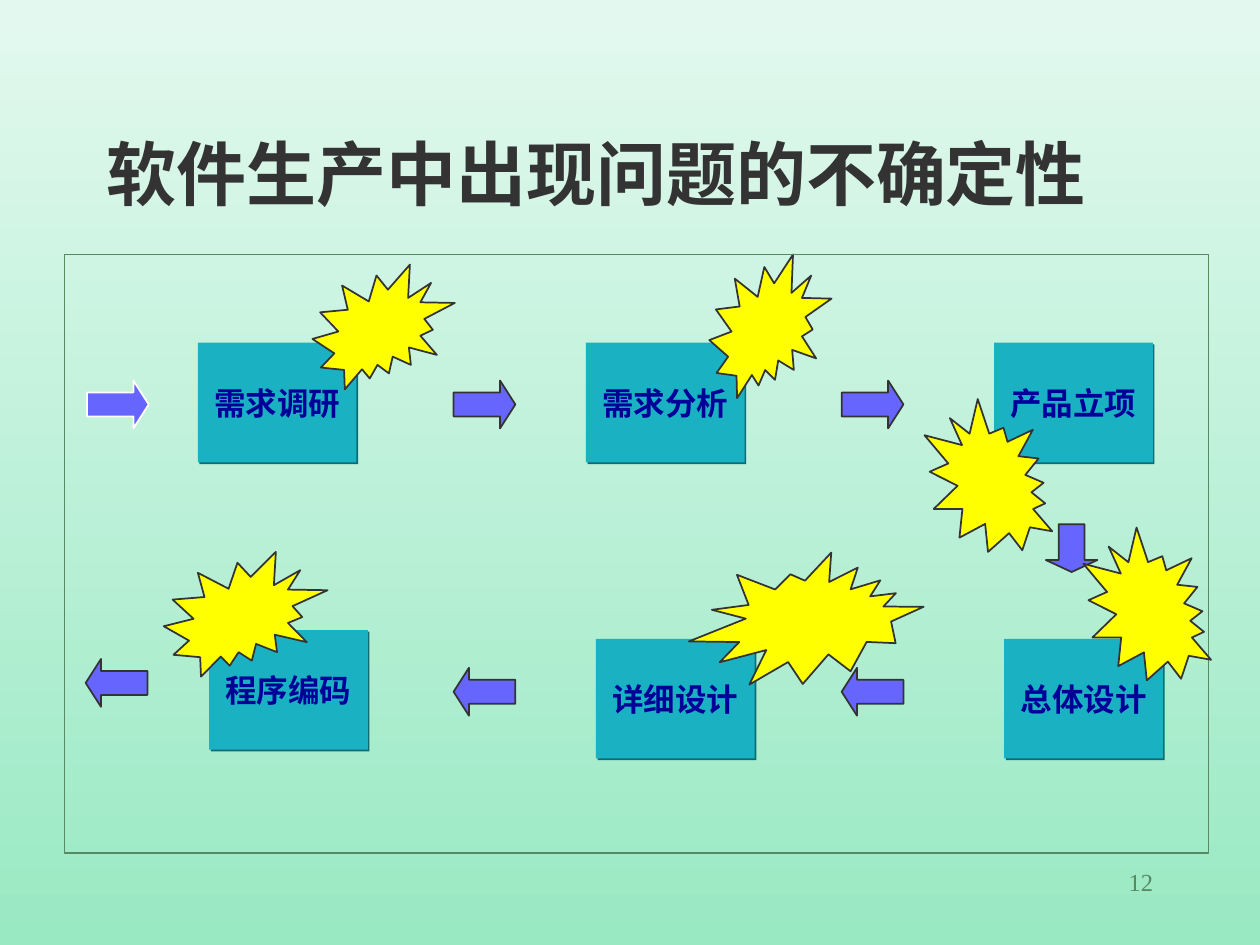
from lxml.etree import SubElement
from pptx import Presentation
from pptx.dml.color import RGBColor
from pptx.enum.shapes import MSO_SHAPE
from pptx.enum.text import MSO_ANCHOR, PP_ALIGN
from pptx.oxml.ns import qn
from pptx.util import Inches, Pt

COLORS = {
    "top": "E3F9EF", "base": "99E9C3", "ink": "333333", "box": "1AB2C2",
    "shade": "0F6A73", "label": "000099", "arrow": "6666FF",
    "white": "FFFFFF", "burst": "FFFF00", "frame": "578963",
}
STEPS = [
    ("需求调研", 1.57, 2.72), ("需求分析", 4.65, 2.72), ("产品立项", 7.89, 2.72),
    ("总体设计", 7.97, 5.07), ("详细设计", 4.73, 5.07), ("程序编码", 1.66, 5),
]
# left, top, turn, line color
ARROWS = [
    (3.6, 3.02, 0, "ink"), (6.68, 3.02, 0, "ink"), (0.69, 3.02, 0, "white"),
    (6.68, 5.3, 180, "ink"), (3.6, 5.3, 180, "ink"), (0.68, 5.23, 180, "ink"),
]
# left, top, width, height, turn
BURSTS = [
    (2.48, 2.1, 1.13, 0.99, 0), (5.63, 2.02, 0.97, 1.14, 0),
    (7.27, 3.21, 1.17, 1.15, 282), (5.85, 4, 1.06, 1.82, 246.7),
    (1.3, 4.38, 1.3, 0.99, 0),
]
LAST_BURST = (8.53, 4.23, 1.17, 1.15, 282)


def color(name):
    return RGBColor.from_string(COLORS[name])


def paint_back(slide):
    fill = slide.background.fill
    fill.gradient()
    fill.gradient_angle = 270
    for stop, name in zip(fill.gradient_stops, ("top", "base")):
        stop.color.rgb = color(name)


def add_shape(slide, kind, place, fill=None, line=None, width=1, turn=0):
    shape = slide.shapes.add_shape(kind, *map(Inches, place))
    shape.shadow.inherit = False
    shape.rotation = turn
    if fill:
        shape.fill.solid()
        shape.fill.fore_color.rgb = color(fill)
    else:
        shape.fill.background()
    if line:
        shape.line.color.rgb = color(line)
        shape.line.width = Pt(width)
    else:
        shape.line.fill.background()
    return shape


def set_text(shape, text, size, font, ink, align, bold=False):
    frame = shape.text_frame
    frame.text = text
    para = frame.paragraphs[0]
    para.alignment = align
    face = para.runs[0].font
    face.size, face.name, face.bold = Pt(size), font, bold
    face.color.rgb = color(ink)
    return frame


def add_text(slide, place, anchor, *style):
    box = slide.shapes.add_textbox(*map(Inches, place))
    frame = set_text(box, *style)
    frame.word_wrap = True
    frame.vertical_anchor = anchor


def add_shade(shape):
    """Give the shape a hard shadow to the lower right."""
    effects = shape._element.spPr.find(qn("a:effectLst"))
    shade = SubElement(effects, qn("a:outerShdw"), blurRad="0",
                       dist=str(Pt(1.4)), dir=str(45 * 60000),
                       algn="ctr", rotWithShape="0")
    SubElement(shade, qn("a:srgbClr"), val=COLORS["shade"])


def add_step(slide, text, left, top):
    box = add_shape(slide, MSO_SHAPE.RECTANGLE, (left, top, 1.26, 0.95), "box")
    add_shade(box)
    frame = set_text(box, text, 18, "Arial", "label", PP_ALIGN.CENTER, True)
    frame.word_wrap = False
    frame.vertical_anchor = MSO_ANCHOR.MIDDLE


def add_arrow(slide, kind, place, head, turn=0, line="ink"):
    arrow = add_shape(slide, kind, place, "arrow", line, turn=turn)
    arrow.adjustments[0] = 0.5
    arrow.adjustments[1] = head


def add_burst(slide, left, top, width, height, turn):
    add_shape(slide, MSO_SHAPE.EXPLOSION2, (left, top, width, height),
              "burst", "ink", turn=turn)


def main():
    deck = Presentation()
    deck.slide_width, deck.slide_height = Inches(10), Inches(7.5)
    slide = deck.slides.add_slide(deck.slide_layouts[6])
    paint_back(slide)
    add_text(slide, (0.75, 0.84, 8.74, 0.91), MSO_ANCHOR.BOTTOM,
             "软件生产中出现问题的不确定性", 40, "Arial Narrow", "ink",
             PP_ALIGN.LEFT, True)
    for step in STEPS:
        add_step(slide, *step)
    for left, top, turn, line in ARROWS:
        add_arrow(slide, MSO_SHAPE.RIGHT_ARROW, (left, top, 0.49, 0.38),
                  0.32, turn, line)
    add_arrow(slide, MSO_SHAPE.DOWN_ARROW, (8.3, 4.16, 0.41, 0.38), 0.25)
    for burst in BURSTS:
        add_burst(slide, *burst)
    add_shape(slide, MSO_SHAPE.RECTANGLE, (0.51, 2.02, 9.08, 4.75),
              line="frame", width=0.75)
    add_burst(slide, *LAST_BURST)
    add_text(slide, (7.17, 6.83, 2.08, 0.5), MSO_ANCHOR.TOP,
             "12", 14, "Times New Roman", "frame", PP_ALIGN.RIGHT)
    deck.save("out.pptx")


if __name__ == "__main__":
    main()
